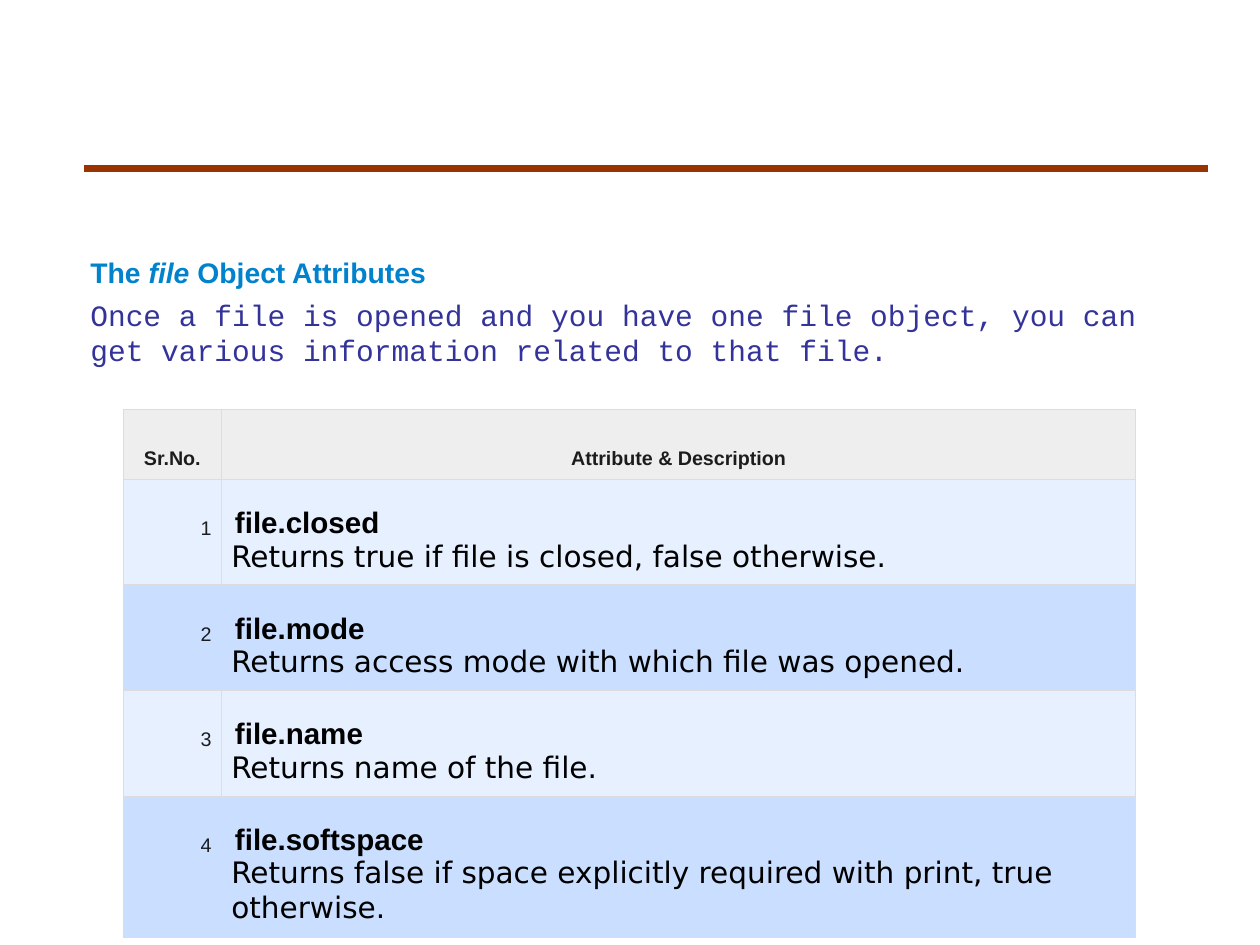
from lxml.etree import SubElement
from pptx import Presentation
from pptx.dml.color import RGBColor
from pptx.enum.shapes import MSO_CONNECTOR
from pptx.enum.text import PP_ALIGN
from pptx.oxml.ns import qn
from pptx.util import Pt

HEADING = [("The ", False), ("file", True), (" Object Attributes", False)]
INTRO = ("Once a file is opened and you have one file object, "
         "you can get various information related to that file.")
COLUMNS = ["Sr.No.", "Attribute & Description"]
ATTRIBUTES = [
    ("file.closed", "Returns true if file is closed, false otherwise."),
    ("file.mode", "Returns access mode with which file was opened."),
    ("file.name", "Returns name of the file."),
    ("file.softspace", "Returns false if space explicitly required with print, true otherwise."),
]
COLUMN_WIDTHS = [79.9, 743]
ROW_HEIGHTS = [57, 85, 85, 85, 113]
HEADER_FILL = "EEEEEE"
BAND_FILLS = ["E6F0FF", "CADFFF"]
BORDER = "DDDDDD"
INSET = 8


def color(hex_code):
    return RGBColor.from_string(hex_code)


def add_run(paragraph, text, size, font, hex_code, bold=False, italic=False, opacity=None):
    run = paragraph.add_run()
    run.text = text
    run.font.size = Pt(size)
    run.font.name = font
    run.font.bold = bold
    run.font.italic = italic
    run.font.color.rgb = color(hex_code)
    if opacity:
        shade = run.font.fill._xPr.find(".//" + qn("a:srgbClr"))
        SubElement(shade, qn("a:alpha"), val=str(opacity * 1000))


def style_cell(cell, fill):
    cell.margin_left = cell.margin_right = Pt(INSET)
    cell.margin_top = cell.margin_bottom = Pt(INSET)
    properties = cell._tc.get_or_add_tcPr()
    for side in ("a:lnL", "a:lnR", "a:lnT", "a:lnB"):
        edge = SubElement(properties, qn(side), w=str(Pt(1)))
        SubElement(SubElement(edge, qn("a:solidFill")), qn("a:srgbClr"), val=BORDER)
    cell.fill.solid()
    cell.fill.fore_color.rgb = color(fill)


def write_label(cell, text, align, bold):
    label = cell.text_frame.paragraphs[0]
    label.alignment = align
    label.line_spacing = Pt(41)
    add_run(label, text, 16, "Arial", "000000", bold, opacity=87)


def write_attribute(cell, name, description):
    title = cell.text_frame.paragraphs[0]
    title.alignment = PP_ALIGN.JUSTIFY
    title.line_spacing = Pt(41)
    title._p.get_or_add_pPr().set("marL", str(Pt(3)))
    add_run(title, name, 24, "Arial", "000000", True)
    add_run(cell.text_frame.add_paragraph(), description, 24, "DejaVu Sans", "000000")


def add_rule(slide):
    rule = slide.shapes.add_connector(MSO_CONNECTOR.STRAIGHT, Pt(68.4), Pt(136.8), Pt(981.4), Pt(136.8))
    rule.line.color.rgb = color("993300")
    rule.line.width = Pt(6)
    SubElement(rule._element.spPr, qn("a:effectLst"))


def add_body(slide):
    body = slide.shapes.add_textbox(Pt(68.4), Pt(179.3), Pt(913), Pt(512)).text_frame
    body.word_wrap = True
    body.margin_left = body.margin_right = body.margin_top = body.margin_bottom = Pt(5)
    heading = body.paragraphs[0]
    heading.line_spacing = Pt(51)
    for text, italic in HEADING:
        add_run(heading, text, 23, "Arial", "0082CC", True, italic)
    intro = body.add_paragraph()
    intro.space_before = Pt(6)
    add_run(intro, INTRO, 24, "Courier New", "333399")


def add_attributes(slide):
    table = slide.shapes.add_table(
        len(ROW_HEIGHTS), len(COLUMNS), Pt(100.1), Pt(332.6),
        Pt(sum(COLUMN_WIDTHS)), Pt(sum(ROW_HEIGHTS))).table
    for column, width in zip(table.columns, COLUMN_WIDTHS):
        column.width = Pt(width)
    for row, height in zip(table.rows, ROW_HEIGHTS):
        row.height = Pt(height)
    for index, title in enumerate(COLUMNS):
        cell = table.cell(0, index)
        style_cell(cell, HEADER_FILL)
        write_label(cell, title, PP_ALIGN.CENTER, True)
    for number, (name, description) in enumerate(ATTRIBUTES, 1):
        number_cell, attribute_cell = table.rows[number].cells
        for cell in (number_cell, attribute_cell):
            style_cell(cell, BAND_FILLS[(number - 1) % 2])
        write_label(number_cell, str(number), PP_ALIGN.RIGHT, False)
        write_attribute(attribute_cell, name, description)


def main():
    deck = Presentation()
    deck.slide_width, deck.slide_height = Pt(1024), Pt(768)
    slide = deck.slides.add_slide(deck.slide_layouts[6])
    add_rule(slide)
    add_body(slide)
    add_attributes(slide)
    deck.save("out.pptx")


if __name__ == "__main__":
    main()
